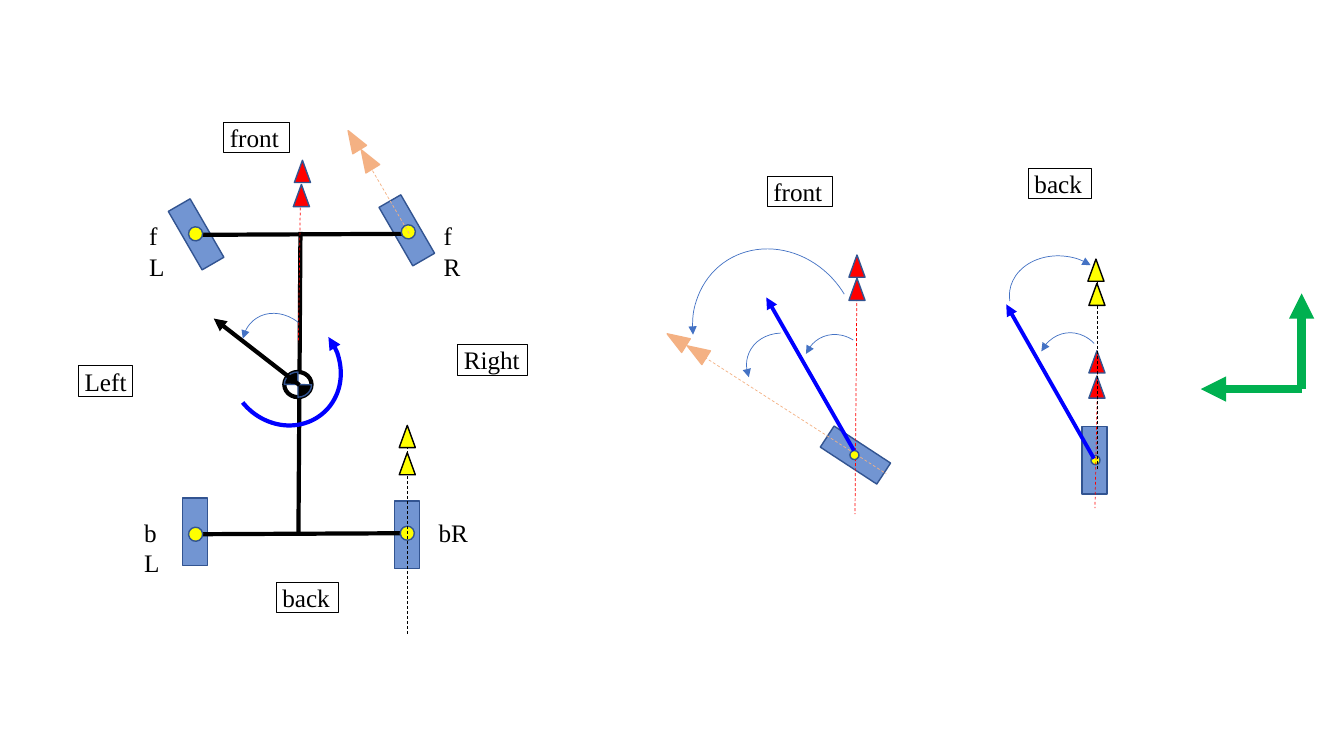
"""Build the vehicle steering-geometry slide."""
import lxml.etree
import pptx
import pptx.dml.color
import pptx.enum.dml
import pptx.enum.shapes
import pptx.enum.text
import pptx.oxml.ns
import pptx.util

Inches = pptx.util.Inches
Pt = pptx.util.Pt
RGBColor = pptx.dml.color.RGBColor
SHAPE = pptx.enum.shapes.MSO_SHAPE
qn = pptx.oxml.ns.qn

COLORS = {
    "black": "000000", "white": "FFFFFF", "blue": "4472C4", "outline": "325491",
    "red": "FF0000", "peach": "F4B183", "yellow": "FFFF00",
    "vector": "0000FF", "green": "00B050",
}
WHEEL = (0.25, 0.67)
MARKER = (0.16, 0.22)
HUB = (0.14, 0.14)
SMALL_HUB = (0.09, 0.09)

presentation = pptx.Presentation()
presentation.slide_width = Inches(13.33)
presentation.slide_height = Inches(7.5)
slide = presentation.slides.add_slide(presentation.slide_layouts[6])


def add_figure(shapes, kind, position, size, fill, line, weight=1, rotation=0, angles=()):
    """Add a preset shape; arcs carry an arrowhead and wheels are translucent."""
    shape = shapes.add_shape(kind, *map(Inches, position + size))
    shape.shadow.inherit = False
    shape.rotation = rotation
    for index, angle in enumerate(angles):
        shape.adjustments[index] = angle
    if fill:
        shape.fill.solid()
        shape.fill.fore_color.rgb = RGBColor.from_string(COLORS[fill])
    else:
        shape.fill.background()
    shape.line.color.rgb = RGBColor.from_string(COLORS[line])
    shape.line.width = Pt(weight)
    if size == WHEEL:
        color = shape._element.spPr.find(qn("a:solidFill"))[0]
        lxml.etree.SubElement(color, qn("a:alpha"), val="75000")
    if kind == SHAPE.ARC:
        lxml.etree.SubElement(shape.line._get_or_add_ln(), qn("a:headEnd"), type="triangle")
    return shape


def add_line(shapes, start, end, color, weight=0.5, arrow=None):
    """Add a straight line; the thinnest lines are dashed."""
    connector = shapes.add_connector(
        pptx.enum.shapes.MSO_CONNECTOR.STRAIGHT, *map(Inches, start + end))
    connector.line.color.rgb = RGBColor.from_string(COLORS[color])
    connector.line.width = Pt(weight)
    if weight == 0.5:
        connector.line.dash_style = pptx.enum.dml.MSO_LINE.DASH
    if arrow:
        lxml.etree.SubElement(connector.line._get_or_add_ln(), qn(arrow), type="triangle")
    lxml.etree.SubElement(connector._element.spPr, qn("a:effectLst"))


front_wheel = slide.shapes.add_group_shape().shapes
add_figure(front_wheel, SHAPE.ARC, (6.9, 2.44), (1.58, 1.75), None, "blue", 0.5, 323.8,
           (129.51, 3.61))
add_figure(front_wheel, SHAPE.RECTANGLE, (8.36, 4.18), WHEEL, "blue", "outline", 1, 303.2)
add_line(front_wheel, (8.5, 2.71), (8.48, 5.1), "red")
for top in (2.53, 2.76):
    add_figure(front_wheel, SHAPE.ISOSCELES_TRIANGLE, (8.42, top), MARKER, "red", "outline")
add_line(front_wheel, (6.78, 3.41), (8.79, 4.7), "peach")
for position in ((6.63, 3.26), (6.83, 3.38)):
    add_figure(front_wheel, SHAPE.ISOSCELES_TRIANGLE, position, MARKER, "peach", "peach", 1, 302.2)
add_figure(front_wheel, SHAPE.OVAL, (8.43, 4.47), SMALL_HUB, "yellow", "outline", 1, 331.4)
add_line(front_wheel, (7.6, 2.95), (8.47, 4.47), "vector", 2.75, "a:headEnd")
for position, rotation, end_angle in (((7.46, 3.25), 293.4, 195.53),
                                      ((7.97, 3.31), 338.1, 188.35)):
    add_figure(front_wheel, SHAPE.ARC, position, (0.7, 0.83), None, "blue", 0.5, rotation,
               (141.09, end_angle))

add_figure(slide.shapes, SHAPE.RECTANGLE, (10.73, 4.23), WHEEL, "blue", "outline")
add_figure(slide.shapes, SHAPE.OVAL, (10.82, 4.52), SMALL_HUB, "yellow", "outline")
add_line(slide.shapes, (10.89, 3.54), (10.86, 5.04), "red")
for top in (3.73, 3.48):
    add_figure(slide.shapes, SHAPE.ISOSCELES_TRIANGLE, (10.8, top), MARKER, "red", "outline")
add_line(slide.shapes, (9.98, 3.02), (10.85, 4.55), "vector", 2.75, "a:headEnd")
add_figure(slide.shapes, SHAPE.ARC, (10.28, 3.3), (0.7, 0.83), None, "blue", 0.5, 352.1,
           (135.08, 188.35))
back_arc = add_figure(slide.shapes, SHAPE.ARC, (10.01, 2.54), (1.02, 0.83), None, "blue", 0.5,
                      7.6, (141.09, 6.71))
back_arc._element.spPr.find(qn("a:xfrm")).set("flipH", "1")

for position, rotation in (((1.82, 1.99), 330), ((3.91, 4.97), 0),
                           ((1.81, 4.94), 0), ((3.91, 1.95), 330)):
    add_figure(slide.shapes, SHAPE.RECTANGLE, position, WHEEL, "blue", "outline", 1, rotation)
for start, end in (((2.98, 2.3), (2.96, 5.31)), ((4.04, 5.29), (1.92, 5.3)),
                   ((4.05, 2.32), (1.93, 2.33))):
    add_line(slide.shapes, start, end, "black", 3)

mass_center = slide.shapes.add_group_shape().shapes
add_figure(mass_center, SHAPE.OVAL, (2.82, 3.69), (0.27, 0.25), "white", "black", 3)
for rotation in (0, 180):
    add_figure(mass_center, SHAPE.PIE, (2.82, 3.69), (0.27, 0.25), "black", "outline", 1,
               rotation, (108.53, 162))

add_line(slide.shapes, (2.97, 3.82), (2.12, 3.16), "black", 3, "a:tailEnd")
add_figure(slide.shapes, SHAPE.ARC, (2.42, 3.09), (0.7, 0.83), None, "blue", 0.5, 326.8,
           (141.09, 201))

for text, left, top, width, boxed in (
        ("front", 7.61, 1.75, 0.65, True), ("back", 10.2, 1.67, 0.62, True),
        ("front", 2.22, 1.21, 0.65, True), ("back", 2.74, 5.78, 0.62, True),
        ("Right", 4.54, 3.42, 0.69, True), ("Left", 0.78, 3.63, 0.53, True),
        ("fR", 4.4, 2.19, 0.23, False), ("fL", 1.48, 2.19, 0.21, False),
        ("bL", 1.43, 5.13, 0.27, False), ("bR", 4.35, 5.13, 0.3, False)):
    if boxed:
        label = add_figure(slide.shapes, SHAPE.RECTANGLE, (left, top), (width, 0.3), None,
                           "black", 0.5)
    else:
        label = slide.shapes.add_textbox(*map(Inches, (left, top, width, 0.3)))
    frame = label.text_frame
    frame.word_wrap = True
    frame.vertical_anchor = pptx.enum.text.MSO_ANCHOR.TOP
    frame.margin_left = Inches(0.06 if boxed else 0)
    frame.margin_right = frame.margin_top = frame.margin_bottom = 0
    frame.text = text
    paragraph = frame.paragraphs[0]
    paragraph.alignment = pptx.enum.text.PP_ALIGN.LEFT
    font = paragraph.runs[0].font
    font.name = "Times New Roman"
    font.size = Pt(18)
    font.color.rgb = RGBColor.from_string(COLORS["black"])

for position in ((1.87, 5.23), (3.97, 5.22), (1.87, 2.25), (3.98, 2.23)):
    add_figure(slide.shapes, SHAPE.OVAL, position, HUB, "yellow", "outline", 1, 355.5)
add_figure(slide.shapes, SHAPE.ARC, (2.29, 3.08), (1.07, 1.16), None, "vector", 3, 139.1,
           (110.77, 1.45))

for start, end, color, outline, rotation, markers in (
        ((10.88, 2.64), (10.88, 4.65), "yellow", "black", 0, ((10.79, 2.57), (10.8, 2.81))),
        ((2.98, 1.91), (2.96, 3.4), "red", "outline", 0, ((2.92, 1.59), (2.91, 1.83))),
        ((3.67, 1.65), (4.06, 2.32), "peach", "peach", 328.6, ((3.56, 1.47), (3.43, 1.28))),
        ((4.04, 4.28), (4.04, 6.29), "yellow", "black", 0, ((3.96, 4.22), (3.96, 4.49)))):
    add_line(slide.shapes, start, end, "black" if color == "yellow" else color)
    for position in markers:
        add_figure(slide.shapes, SHAPE.ISOSCELES_TRIANGLE, position, MARKER, color, outline, 1,
                   rotation)

for tip in ((12.91, 2.91), (11.91, 3.86)):
    add_line(slide.shapes, (12.91, 3.86), tip, "green", 6, "a:tailEnd")

presentation.save("out.pptx")
